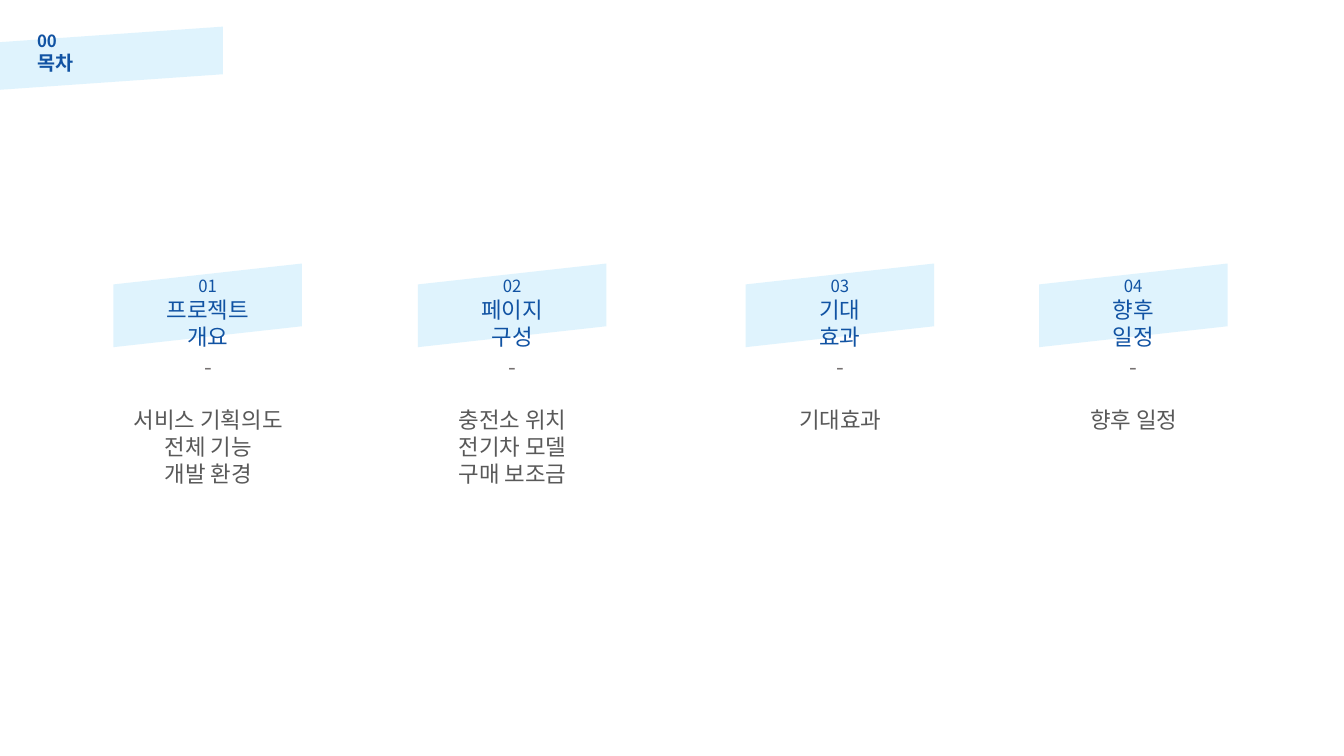
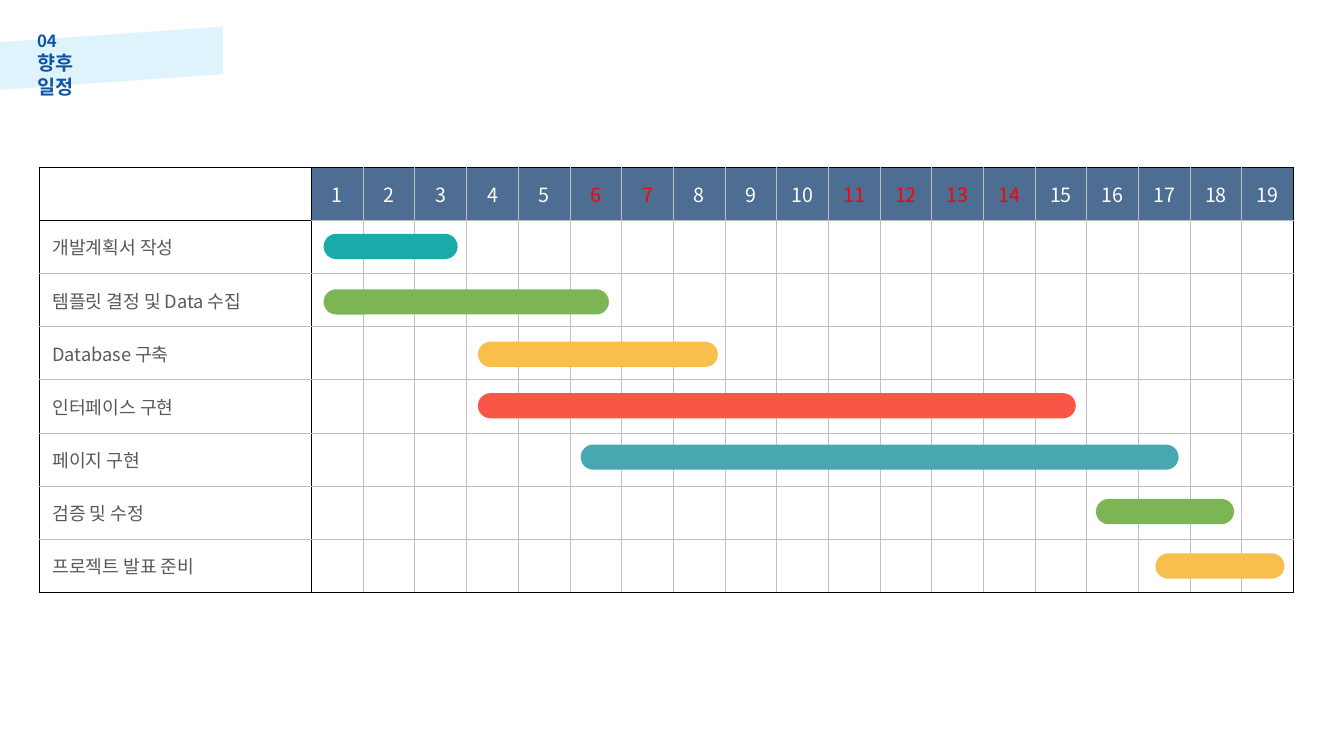
import lxml.etree
import pptx
import pptx.dml.color
import pptx.enum.shapes
import pptx.enum.text
import pptx.oxml.ns
import pptx.util

SCALE = 9144
FONT = "Noto Sans CJK KR"
HUES = {
    "band": "B0E3FC", "title": "1153A3", "dash": "767171", "text": "595959",
    "head": "4D6D92", "white": "FFFFFF", "off": "FF0000", "edge": "000000",
    "grid": "BFBFBF", "teal": "1BAAAA", "green": "7CB554", "gold": "F8BF4D",
    "coral": "F95648", "aqua": "48A8B2",
}
KINDS = pptx.enum.shapes.MSO_SHAPE
LEFT = pptx.enum.text.PP_ALIGN.LEFT
MID = pptx.enum.text.PP_ALIGN.CENTER

TOPICS = [
    (206, 148, "01", "프로젝트 개요", ["서비스 기획의도", "전체 기능", "개발 환경"]),
    (508, 127, "02", "페이지 구성", ["충전소 위치", "전기차 모델", "구매 보조금"]),
    (833, 107, "03", "기대 효과", ["기대효과"]),
    (1124, 107, "04", "향후 일정", ["향후 일정"]),
]
TASKS = [
    ("개발계획서 작성", 321, 232, 133, "teal"),
    ("템플릿 결정 및 Data 수집", 321, 287, 283, "green"),
    ("Database 구축", 474, 339, 238, "gold"),
    ("인터페이스 구현", 474, 390, 593, "coral"),
    ("페이지 구현", 576, 441, 593, "aqua"),
    ("검증 및 수정", 1087, 495, 137, "green"),
    ("프로젝트 발표 준비", 1146, 549, 128, "gold"),
]
DAYS = 19
OFF = {6, 7, 11, 12, 13, 14}


def px(count):
    return pptx.util.Emu(int(count * SCALE))


def rgb(hue):
    return pptx.dml.color.RGBColor.from_string(HUES[hue])


def add(node, tag, **attrs):
    return lxml.etree.SubElement(node, pptx.oxml.ns.qn(tag), **attrs)


def style(para, size, hue, align=LEFT, bold=False):
    para.alignment = align
    for run in para.runs:
        run.font.size = pptx.util.Pt(size)
        run.font.bold = bold
        run.font.color.rgb = rgb(hue)
        run.font.name = FONT
        add(run.font._element, "a:ea", typeface=FONT)


def shape(slide, kind, left, top, width, height, hue):
    item = slide.shapes.add_shape(kind, px(left), px(top), px(width), px(height))
    item.shadow.inherit = False
    item.fill.solid()
    item.fill.fore_color.rgb = rgb(hue)
    item.line.fill.background()
    return item


def band(slide, mid, level, thick, span):
    item = shape(slide, KINDS.PARALLELOGRAM, mid - thick / 2, level - span / 2,
                 thick, span, "band")
    item.adjustments[0] = 0.25
    item.rotation = 270
    item.element.spPr.find(pptx.oxml.ns.qn("a:xfrm")).set("flipV", "1")
    tint = next(item.element.spPr.iter(pptx.oxml.ns.qn("a:srgbClr")))
    add(tint, "a:alpha", val="40000")


def label(slide, left, top, width, height, lines, align=LEFT, bold=False,
          pads=(10, 10)):
    item = slide.shapes.add_textbox(px(left), px(top), px(width), px(height))
    frame = item.text_frame
    frame.word_wrap = True
    frame.margin_left, frame.margin_right = map(px, pads)
    frame.text = "\n".join(text for text, size, hue in lines)
    for para, (text, size, hue) in zip(frame.paragraphs, lines):
        style(para, size, hue, align, bold)
        para.line_spacing = pptx.util.Pt(size * 1.2)
    return frame


def title(slide, number, name):
    band(slide, 108, 58, 63, 226)
    lines = [(number, 12, "title"), (name, 14, "title")]
    label(slide, 27, 26, 97, 54, lines, bold=True, pads=(10, 24))


def topic(slide, mid, width, number, name, items):
    band(slide, mid, 303, 83, 187)
    lines = [(number, 12, "title"), (name, 16, "title")]
    label(slide, mid - width / 2, 269, width, 57, lines, MID, pads=(24, 24))
    lines = [("-", 16, "dash")] + [(item, 16, "text") for item in items]
    frame = label(slide, mid - 112, 345, 225, 37 + 27 * len(lines), lines, MID)
    frame.paragraphs[0].space_after = pptx.util.Pt(19.2)


def border(cell, row, col):
    dark = {
        "L": col < 2,
        "R": col in (0, DAYS),
        "T": row == 0 or (row == 1 and col == 0),
        "B": row == len(TASKS) or (row == 0 and col == 0),
    }
    props = cell._tc.get_or_add_tcPr()
    for side, edge in dark.items():
        line = add(props, "a:ln" + side, w="12700" if edge else "9525")
        fill = add(line, "a:solidFill")
        add(fill, "a:srgbClr", val=HUES["edge" if edge else "grid"])


def fill(cell, row, col):
    cell.vertical_anchor = pptx.enum.text.MSO_ANCHOR.MIDDLE
    cell.margin_left = cell.margin_right = px(13)
    cell.margin_top = cell.margin_bottom = px(7)
    border(cell, row, col)
    para = cell.text_frame.paragraphs[0]
    if row == 0 and col:
        cell.fill.solid()
        cell.fill.fore_color.rgb = rgb("head")
        para.text = str(col)
        style(para, 14, "off" if col in OFF else "white", MID)
        return
    cell.fill.background()
    if row and col == 0:
        para.text = TASKS[row - 1][0]
        style(para, 13, "text")


def grid(slide):
    rows = len(TASKS) + 1
    frame = slide.shapes.add_table(rows, DAYS + 1, px(39), px(166), px(1244), px(422))
    table = frame.table
    table.first_row = table.horz_banding = False
    for col, column in enumerate(table.columns):
        column.width = px(974 / DAYS if col else 270)
    for row in range(rows):
        for col in range(DAYS + 1):
            fill(table.cell(row, col), row, col)


def bars(slide):
    for name, left, top, width, hue in TASKS:
        item = shape(slide, KINDS.ROUNDED_RECTANGLE, left, top, width, 25, hue)
        item.adjustments[0] = 0.5


def main():
    deck = pptx.Presentation()
    deck.slide_width, deck.slide_height = px(1333), px(750)
    blank = deck.slide_layouts[6]

    index = deck.slides.add_slide(blank)
    title(index, "00", "목차")
    for entry in TOPICS:
        topic(index, *entry)

    plan = deck.slides.add_slide(blank)
    title(plan, "04", "향후 일정")
    grid(plan)
    bars(plan)

    deck.save("out.pptx")


if __name__ == "__main__":
    main()
